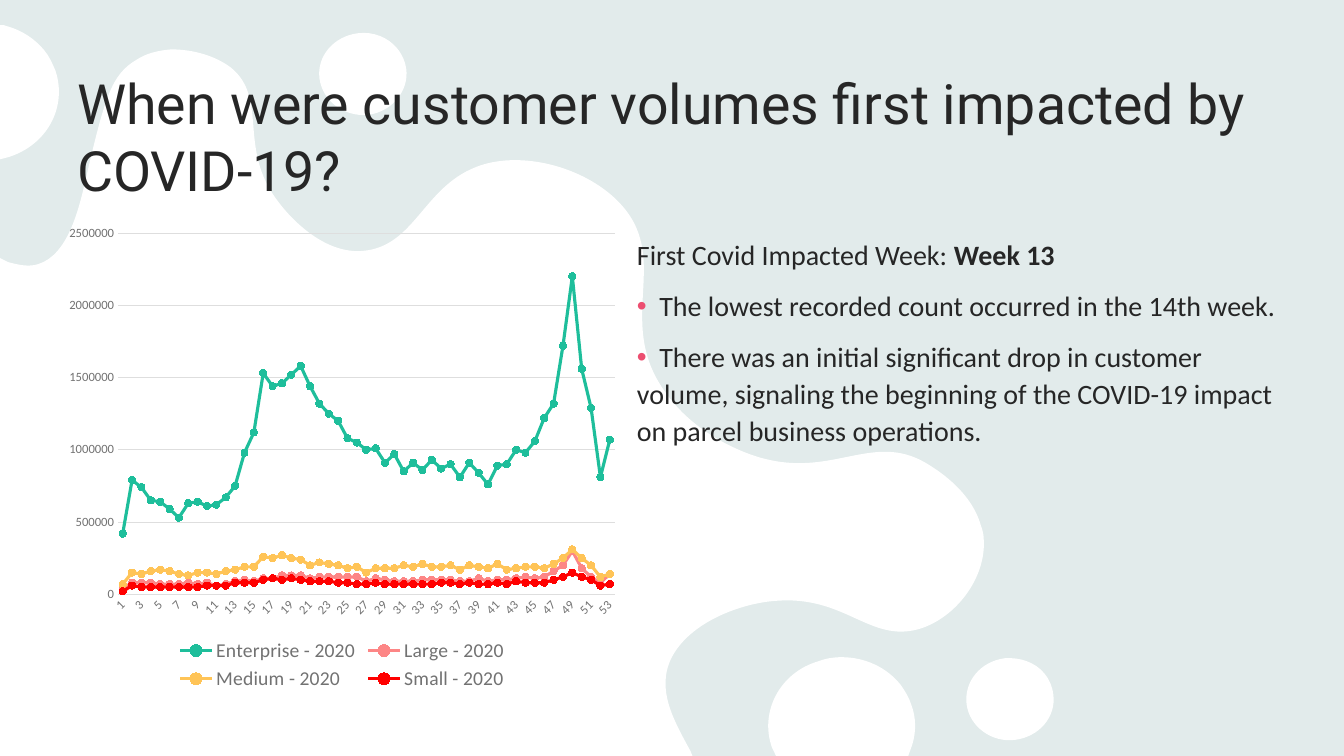
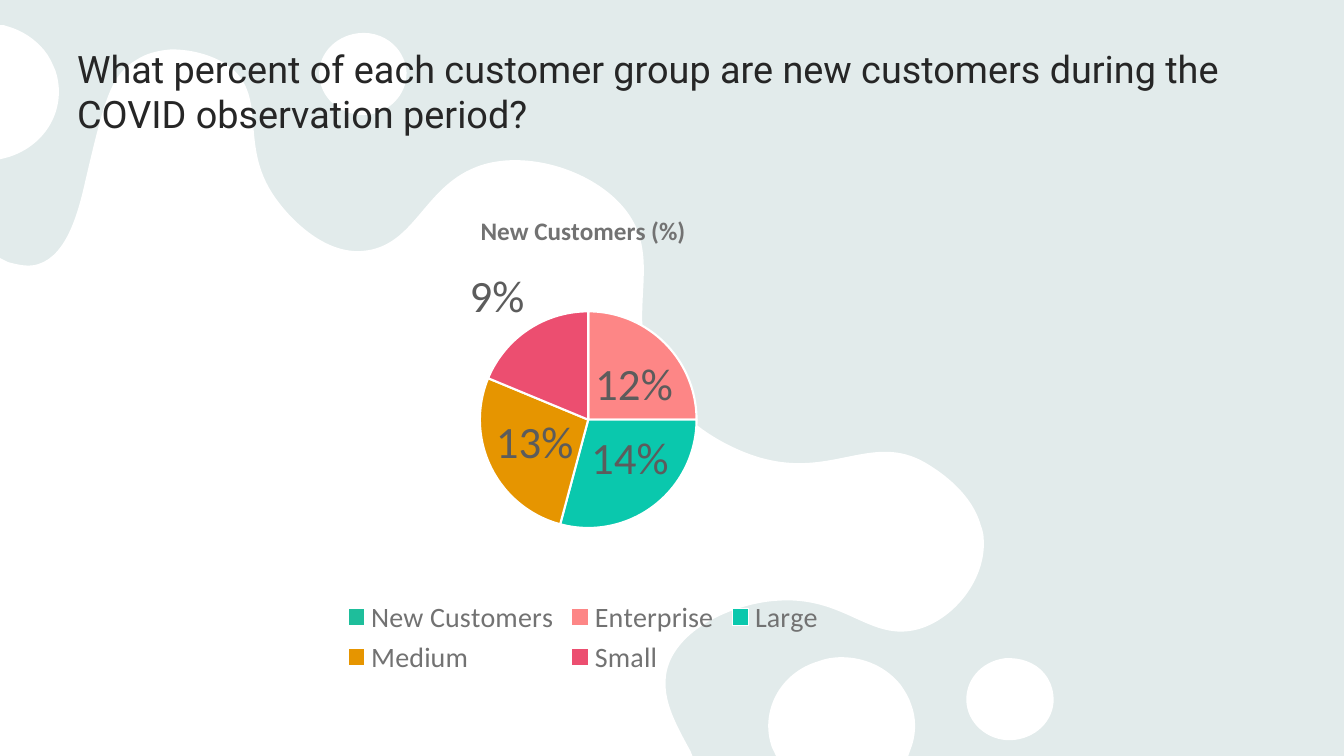
from lxml import etree
from pptx import Presentation
from pptx.chart.data import CategoryChartData
from pptx.dml.color import RGBColor
from pptx.enum.chart import (XL_CHART_TYPE, XL_LABEL_POSITION, XL_LEGEND_POSITION,
                             XL_MARKER_STYLE, XL_TICK_MARK)
from pptx.enum.shapes import MSO_SHAPE
from pptx.enum.text import MSO_ANCHOR
from pptx.oxml import parse_xml
from pptx.oxml.ns import nsdecls, qn
from pptx.util import Pt

RECTANGLE = MSO_SHAPE.RECTANGLE
ANCHOR_BOTTOM = MSO_ANCHOR.BOTTOM
LINE_MARKERS = XL_CHART_TYPE.LINE_MARKERS
PIE = XL_CHART_TYPE.PIE
LEGEND_BOTTOM = XL_LEGEND_POSITION.BOTTOM
NO_TICK = XL_TICK_MARK.NONE
ROUND_MARKER = XL_MARKER_STYLE.CIRCLE
LABEL_BEST_FIT = XL_LABEL_POSITION.BEST_FIT

MIST = RGBColor(0xE9, 0xF3, 0xF3)
VEIL = RGBColor(0xAE, 0xAE, 0xAE)
WHITE = RGBColor(0xFF, 0xFF, 0xFF)
INK = RGBColor(0x26, 0x26, 0x26)
GRAY = RGBColor(0x72, 0x72, 0x72)
LABEL_GRAY = RGBColor(0x5C, 0x5C, 0x5C)
GRID = RGBColor(0xDE, 0xDE, 0xDE)
GREEN = RGBColor(0x1E, 0xBE, 0x9B)
SALMON = RGBColor(0xFD, 0x86, 0x86)
YELLOW = RGBColor(0xFF, 0xC4, 0x57)
RED = RGBColor(0xFF, 0x00, 0x00)
TEAL = RGBColor(0x0A, 0xC8, 0xAD)
AMBER = RGBColor(0xE6, 0x95, 0x00)
PINK = RGBColor(0xEC, 0x4E, 0x70)

TITLE_FONT = "Roboto"
BODY_FONT = "Calibri"
SLIDE_WIDTH, SLIDE_HEIGHT = Pt(960), Pt(540)

OUTLINE_UNIT = 0.72
RIGHT_DROP = [
    (997, 653), (1012, 652, 1027, 657, 1036, 668), (1041, 674, 1044, 681, 1045, 689),
    (1048, 711, 1031, 731, 1007, 734), (984, 737, 962, 721, 959, 699),
    (956, 676, 973, 656, 997, 653),
]
BOTTOM_DROP = [
    (835, 652), (858, 652, 880, 662, 894, 680), (898, 686, 902, 692, 904, 699),
    (909, 712, 909, 726, 905, 739), (901, 750), (770, 750), (766, 742),
    (753, 706, 774, 667, 812, 656), (820, 653, 827, 652, 835, 652),
]
WAVE = [
    (170, 49), (191, 49, 213, 55, 229, 67), (267, 98, 235, 147, 276, 200),
    (281, 207, 316, 252, 359, 249), (415, 245, 420, 178, 484, 162),
    (529, 151, 588, 170, 618, 205), (665, 260, 610, 320, 660, 389),
    (694, 438, 753, 454, 758, 455), (827, 473, 866, 429, 918, 459),
    (928, 465, 963, 486, 973, 521), (975, 526, 976, 531, 976, 536),
    (978, 574, 948, 613, 912, 624), (863, 638, 839, 591, 771, 596),
    (736, 598, 684, 617, 666, 653), (651, 684, 668, 714, 685, 745),
    (687, 750), (0, 750), (0, 256), (8, 260), (19, 263, 29, 265, 38, 262),
    (67, 253, 78, 209, 85, 178), (104, 97, 110, 74, 136, 59),
    (145, 53, 157, 50, 170, 49),
]
TOP_DROP = [
    (355, 33), (370, 31, 385, 37, 394, 48), (399, 54, 402, 61, 403, 68),
    (406, 90, 389, 111, 365, 114), (341, 116, 320, 100, 317, 78),
    (314, 56, 331, 36, 355, 33),
]
LEFT_DROP = [
    (0, 25), (4, 25), (7, 26), (22, 30, 35, 39, 44, 50),
    (49, 56, 52, 63, 55, 70), (67, 106, 47, 144, 8, 156), (0, 158),
]
OUTLINES = [RIGHT_DROP, BOTTOM_DROP, WAVE, TOP_DROP, LEFT_DROP]

VOLUME_UNIT = 10000
VOLUMES = [
    ("Enterprise - 2020", GREEN, [
        42, 79, 74, 65, 64, 59, 53, 63, 64, 61, 62, 67, 75, 98, 112, 153, 144, 146,
        152, 158, 144, 132, 125, 120, 108, 105, 100, 101, 91, 97, 85, 91, 86, 93, 87,
        90, 81, 91, 84, 76, 89, 90, 100, 98, 106, 122, 132, 172, 220, 156, 129, 81, 107]),
    ("Large - 2020", SALMON, [
        4, 8, 8, 8, 7, 7, 7, 8, 7, 8, 6, 7, 9, 10, 9, 11, 11, 13, 13, 13, 11, 12, 12,
        12, 12, 12, 9, 11, 10, 9, 9, 9, 10, 10, 10, 10, 9, 9, 11, 9, 10, 10, 11, 12,
        11, 12, 16, 20, 30, 18, 12, 8, 14]),
    ("Medium - 2020", YELLOW, [
        7, 15, 14, 16, 17, 16, 14, 13, 15, 15, 14, 16, 17, 19, 19, 26, 25, 27, 25, 24,
        20, 22, 21, 20, 18, 19, 15, 18, 18, 18, 20, 19, 21, 19, 19, 20, 17, 20, 19, 18,
        21, 17, 18, 19, 19, 18, 21, 25, 31, 25, 20, 12, 14]),
    ("Small - 2020", RED, [
        2, 6, 5, 5, 5, 5, 5, 5, 5, 6, 6, 6, 8, 8, 8, 10, 11, 10, 11, 10, 9, 9, 9, 8, 8,
        7, 7, 8, 7, 7, 7, 7, 7, 7, 8, 8, 7, 8, 7, 7, 8, 7, 9, 8, 8, 8, 10, 12, 15, 12,
        10, 6, 7]),
]
NEW_CUSTOMERS = [
    ("New Customers", None, GREEN),
    ("Enterprise", 0.12, SALMON),
    ("Large", 0.14, TEAL),
    ("Medium", 0.13, AMBER),
    ("Small", 0.09, PINK),
]
FINDINGS = [
    "The lowest recorded count occurred in the 14th week.",
    "There was an initial significant drop in customer volume, signaling the beginning "
    "of the COVID-19 impact on parcel business operations.",
]


def apply(target, **values):
    for name, value in values.items():
        setattr(target, name, value)


def style_font(font, size, color, name=BODY_FONT, bold=False):
    apply(font, size=Pt(size), name=name, bold=bold)
    font.color.rgb = color


def style_line(line, color, width):
    line.color.rgb = color
    line.width = Pt(width)


def style_solid(shape, color):
    shape.shadow.inherit = False
    shape.fill.solid()
    shape.fill.fore_color.rgb = color
    shape.line.fill.background()


def box(*lengths):
    return [Pt(length) for length in lengths]


def step_points(step):
    lengths = box(*(value * OUTLINE_UNIT for value in step))
    return list(zip(lengths[::2], lengths[1::2]))


def bend_segments(shape):
    segments = iter(shape.element.xpath(".//a:path/a:lnTo"))
    for outline in OUTLINES:
        for step in outline[1:]:
            curve = next(segments)
            if len(step) == 2:
                continue
            curve.tag = qn("a:cubicBezTo")
            for _ in range(2):
                segment = next(segments)
                curve.append(segment[0])
                segment.getparent().remove(segment)


def add_backdrop(slide):
    veil = slide.shapes.add_shape(RECTANGLE, 0, 0, SLIDE_WIDTH, SLIDE_HEIGHT)
    style_solid(veil, VEIL)
    tint = veil.element.xpath("./p:spPr/a:solidFill/a:srgbClr")[0]
    etree.SubElement(tint, qn("a:alpha"), val="10000")

    builder = slide.shapes.build_freeform(*step_points(OUTLINES[0][0])[0])
    for index, (start, *steps) in enumerate(OUTLINES):
        if index:
            builder.move_to(*step_points(start)[0])
        builder.add_line_segments(
            [point for step in steps for point in step_points(step)], close=True)
    blobs = builder.convert_to_shape()
    style_solid(blobs, WHITE)
    bend_segments(blobs)


def add_title(slide, text, size, space_below):
    frame = slide.shapes.add_textbox(*box(48, 44, 864, 104)).text_frame
    apply(frame, word_wrap=True, vertical_anchor=ANCHOR_BOTTOM,
          margin_bottom=Pt(space_below))
    run = frame.paragraphs[0].add_run()
    run.text = text
    style_font(run.font, size, INK, TITLE_FONT)


def add_bullet(paragraph):
    properties = paragraph._p.get_or_add_pPr()
    properties.set("marL", "0")
    properties.set("indent", "0")
    color = etree.SubElement(properties, qn("a:buClr"))
    etree.SubElement(color, qn("a:srgbClr"), val=str(PINK))
    etree.SubElement(properties, qn("a:buFont"), typeface="Arial")
    etree.SubElement(properties, qn("a:buChar"), char="•")
    tabs = etree.SubElement(properties, qn("a:tabLst"))
    etree.SubElement(tabs, qn("a:tab"), pos=str(Pt(16)), algn="l")


def add_findings(slide):
    frame = slide.shapes.add_textbox(*box(447.84, 164, 480, 358)).text_frame
    frame.word_wrap = True
    lines = [[("First Covid Impacted Week: ", False), ("Week 13", True)]]
    lines += [[("\t" + finding, False)] for finding in FINDINGS]
    for index, parts in enumerate(lines):
        paragraph = frame.add_paragraph() if index else frame.paragraphs[0]
        apply(paragraph, line_spacing=1.1, space_before=Pt(10))
        if index:
            add_bullet(paragraph)
        for text, bold in parts:
            run = paragraph.add_run()
            run.text = text
            style_font(run.font, 20, INK, bold=bold)


def add_chart(slide, kind, place, data, legend_size):
    chart = slide.shapes.add_chart(kind, *box(*place), data).chart
    style_font(chart.font, 10, INK)
    apply(chart, has_title=False, has_legend=True)
    apply(chart.legend, position=LEGEND_BOTTOM, include_in_layout=False)
    style_font(chart.legend.font, legend_size, GRAY)
    return chart


def add_volume_chart(slide):
    data = CategoryChartData(number_format="General")
    data.categories = [str(week) for week in range(1, 54)]
    for name, _, volumes in VOLUMES:
        data.add_series(name, [volume * VOLUME_UNIT for volume in volumes])
    chart = add_chart(slide, LINE_MARKERS, (41.4, 154.4, 406, 342), data, 14)
    chart.plots[0].vary_by_categories = False
    for series, (_, color, _) in zip(chart.plots[0].series, VOLUMES):
        series.smooth = False
        style_line(series.format.line, color, 2.25)
        apply(series.marker, style=ROUND_MARKER, size=5)
        series.marker.format.fill.solid()
        series.marker.format.fill.fore_color.rgb = color
        style_line(series.marker.format.line, color, 0.75)

    weeks, amounts = chart.category_axis, chart.value_axis
    for axis in (weeks, amounts):
        apply(axis, major_tick_mark=NO_TICK, minor_tick_mark=NO_TICK)
        style_font(axis.tick_labels.font, 9, GRAY)
    style_line(weeks.format.line, GRID, 0.75)
    apply(amounts, minimum_scale=0, maximum_scale=2500000, major_unit=500000)
    amounts.format.line.fill.background()
    style_line(amounts.major_gridlines.format.line, GRID, 0.75)
    for body in chart.element.xpath(".//c:catAx/c:txPr/a:bodyPr"):
        body.set("rot", "-2700000")


def place_plot(chart, **fractions):
    sizes = "".join(f'<c:{key} val="{value}"/>' for key, value in fractions.items())
    layout = parse_xml(
        f'<c:layout {nsdecls("c")}><c:manualLayout><c:layoutTarget val="inner"/>'
        f'<c:xMode val="edge"/><c:yMode val="edge"/>{sizes}</c:manualLayout></c:layout>')
    area = chart.element.xpath(".//c:plotArea")[0]
    for automatic in area.xpath("./c:layout"):
        area.remove(automatic)
    area.insert(0, layout)


def add_share_chart(slide):
    data = CategoryChartData(number_format="0%")
    data.categories = [group for group, *_ in NEW_CUSTOMERS]
    data.add_series("Series 1", [share for _, share, _ in NEW_CUSTOMERS])
    chart = add_chart(slide, PIE, (48, 138, 737, 348), data, 20)
    chart.has_title = True
    heading = chart.chart_title.text_frame.paragraphs[0].add_run()
    heading.text = "New Customers (%)"
    style_font(heading.font, 18, GRAY, bold=True)
    place_plot(chart, x=0.4, y=0.24, w=0.21, h=0.45)
    plot = chart.plots[0]
    plot.vary_by_categories = True
    series = plot.series[0]
    for index, (_, _, color) in enumerate(NEW_CUSTOMERS):
        slice_format = series.points[index].format
        slice_format.fill.solid()
        slice_format.fill.fore_color.rgb = color
        style_line(slice_format.line, WHITE, 1.5)
    labels = series.data_labels
    apply(labels, show_value=True, number_format="0%",
          number_format_is_linked=False, position=LABEL_BEST_FIT)
    style_font(labels.font, 32, LABEL_GRAY)


def main():
    deck = Presentation()
    apply(deck, slide_width=SLIDE_WIDTH, slide_height=SLIDE_HEIGHT)
    background = deck.slide_master.background.fill
    background.solid()
    background.fore_color.rgb = MIST
    pages = [
        ("When were customer volumes first impacted by COVID-19?", 39.6, 3.6,
         (add_volume_chart, add_findings)),
        ("What percent of each customer group are new customers during the COVID "
         "observation period?", 27, 50.6, (add_share_chart,)),
    ]
    for title, size, space_below, parts in pages:
        slide = deck.slides.add_slide(deck.slide_layouts[6])
        add_backdrop(slide)
        add_title(slide, title, size, space_below)
        for add_part in parts:
            add_part(slide)
    deck.save("out.pptx")


if __name__ == "__main__":
    main()
